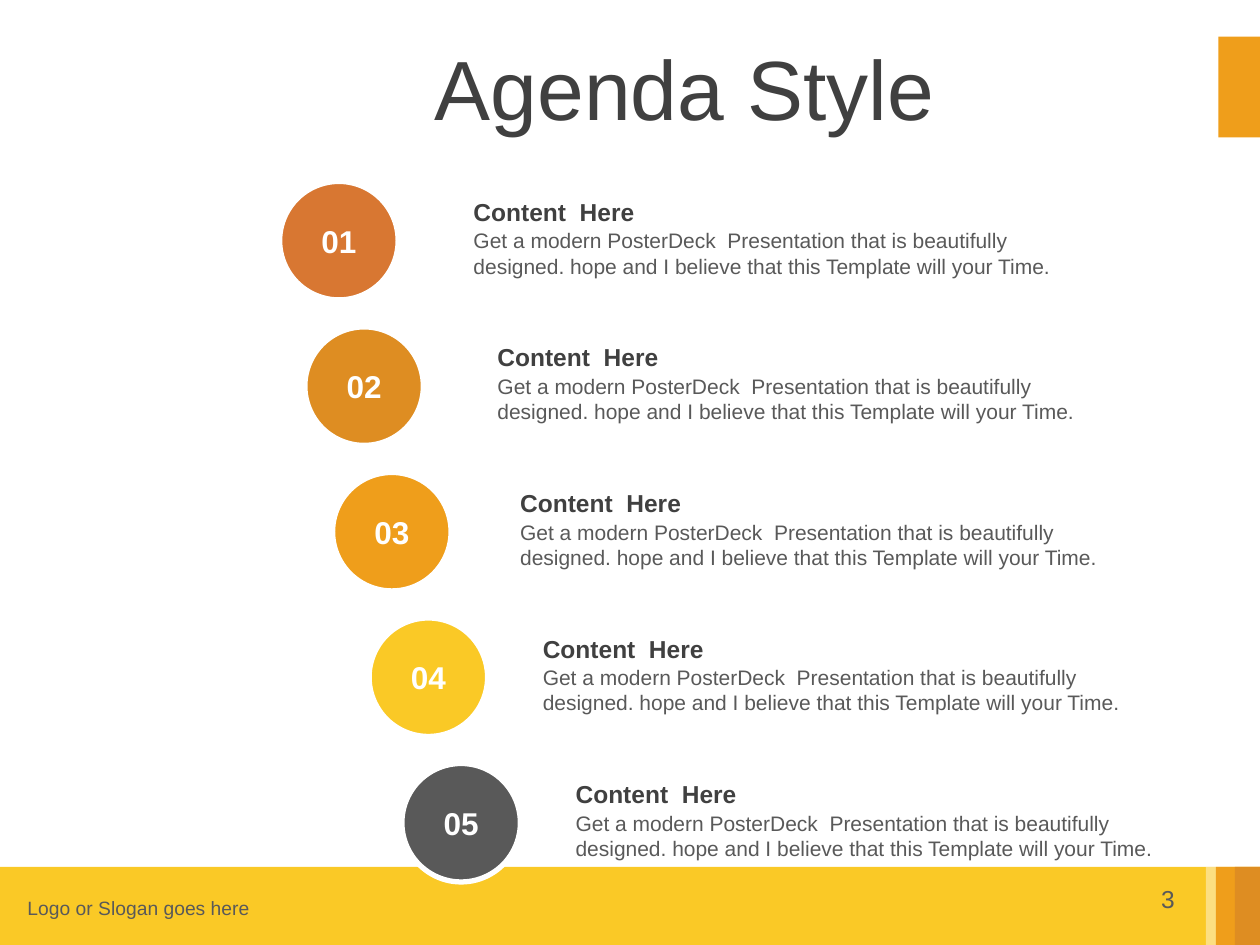
from lxml.etree import SubElement
from pptx import Presentation
from pptx.dml.color import RGBColor
from pptx.enum.shapes import MSO_SHAPE as Preset
from pptx.enum.text import MSO_ANCHOR as Anchor, PP_ALIGN as Align
from pptx.oxml.ns import qn
from pptx.util import Inches, Pt

COLORS = {
    "white": "FFFFFF",
    "yellow": "FAC926",
    "orange": "EF9E1B",
    "amber": "DE8D22",
    "rust": "D87732",
    "gray": "595959",
    "dark": "404040",
}
BODY = (
    "Get a modern PosterDeck  Presentation that is beautifully designed. "
    "hope and I believe that this Template will your Time."
)
AGENDA = [
    ("01", "rust", 2.22, 3.66),
    ("02", "amber", 2.42, 3.85),
    ("03", "orange", 2.64, 4.03),
    ("04", "yellow", 2.93, 4.21),
    ("05", "gray", 3.19, 4.47),
]
FIRST_TOP, LAST_TOP = 1.44, 6.06
STEP = (LAST_TOP - FIRST_TOP) / (len(AGENDA) - 1)
DIAMETER = 0.94
TEXT_WIDTH = 5.1
BAND_TOP, BAND_HEIGHT = 6.88, 0.62
BAND = [
    (0, "yellow", None),
    (9.57, "white", 42),
    (9.65, "orange", None),
    (9.8, "amber", None),
]


def rgb(name):
    return RGBColor.from_string(COLORS[name])


def write(shape, text, size, color, bold=False, align=Align.LEFT,
          anchor=Anchor.MIDDLE, wrap=True):
    frame = shape.text_frame
    frame.word_wrap = wrap
    frame.vertical_anchor = anchor
    para = frame.paragraphs[0]
    para.alignment = align
    span = para.add_run()
    span.text = text
    span.font.color.rgb = rgb(color)
    for key, value in {"name": "Arial", "size": Pt(size), "bold": bold}.items():
        setattr(span.font, key, value)


def add_text(page, left, top, width, height, text, size, color, **options):
    box = page.shapes.add_textbox(*map(Inches, (left, top, width, height)))
    write(box, text, size, color, **options)


def add_block(page, preset, left, top, width, height, color, opacity=None):
    block = page.shapes.add_shape(preset, *map(Inches, (left, top, width, height)))
    block.shadow.inherit = False
    block.fill.solid()
    block.fill.fore_color.rgb = rgb(color)
    block.line.fill.background()
    if opacity is not None:
        tint = block.fill._xPr.find(qn("a:solidFill"))[0]
        SubElement(tint, qn("a:alpha"), val=str(opacity * 1000))
    return block


def add_title(page, text):
    title = page.shapes.title
    place = {"left": 3.35, "top": 0.3, "width": 6.65, "height": 0.78}
    for key, value in place.items():
        setattr(title, key, Inches(value))
    write(title, text, 48, "dark")


def add_footer(page):
    for left, color, opacity in BAND:
        add_block(page, Preset.RECTANGLE, left, BAND_TOP, 10 - left, BAND_HEIGHT,
                  color, opacity)
    add_text(page, 9.05, 6.97, 0.44, 0.34, "3", 14, "gray",
             align=Align.CENTER, anchor=Anchor.TOP, wrap=False)
    add_text(page, 0.12, 7.06, 2.76, 0.29, "Logo or Slogan goes here", 11, "gray")


def add_item(page, top, number, color, circle_left, text_left):
    circle = add_block(page, Preset.OVAL, circle_left, top, DIAMETER, DIAMETER, color)
    circle.line.color.rgb = rgb("white")
    circle.line.width = Pt(3)
    write(circle, number, 18, "white", bold=True, align=Align.CENTER)
    add_text(page, text_left, top + 0.07, TEXT_WIDTH, 0.34, "Content  Here", 14,
             "dark", bold=True)
    add_text(page, text_left, top + 0.32, TEXT_WIDTH, 0.71, BODY, 12, "gray",
             anchor=Anchor.TOP)


def main():
    deck = Presentation()
    deck.slide_width, deck.slide_height = Inches(10), Inches(7.5)
    page = deck.slides.add_slide(deck.slide_layouts[5])
    add_footer(page)
    add_block(page, Preset.RECTANGLE, 9.67, 0.29, 0.33, 0.8, "orange")
    add_title(page, "Agenda Style")
    for index, item in enumerate(AGENDA):
        add_item(page, FIRST_TOP + index * STEP, *item)
    deck.save("out.pptx")


if __name__ == "__main__":
    main()
